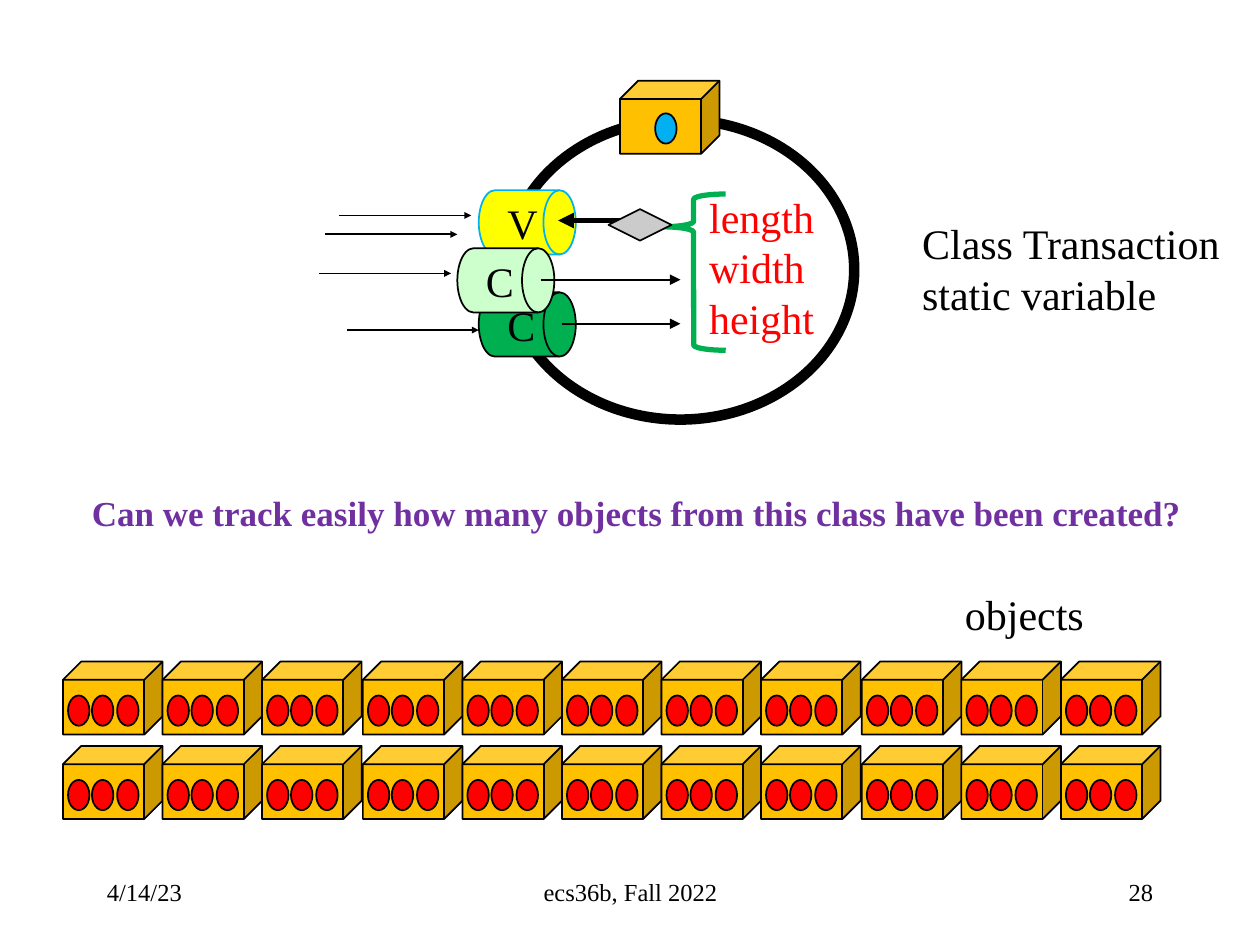
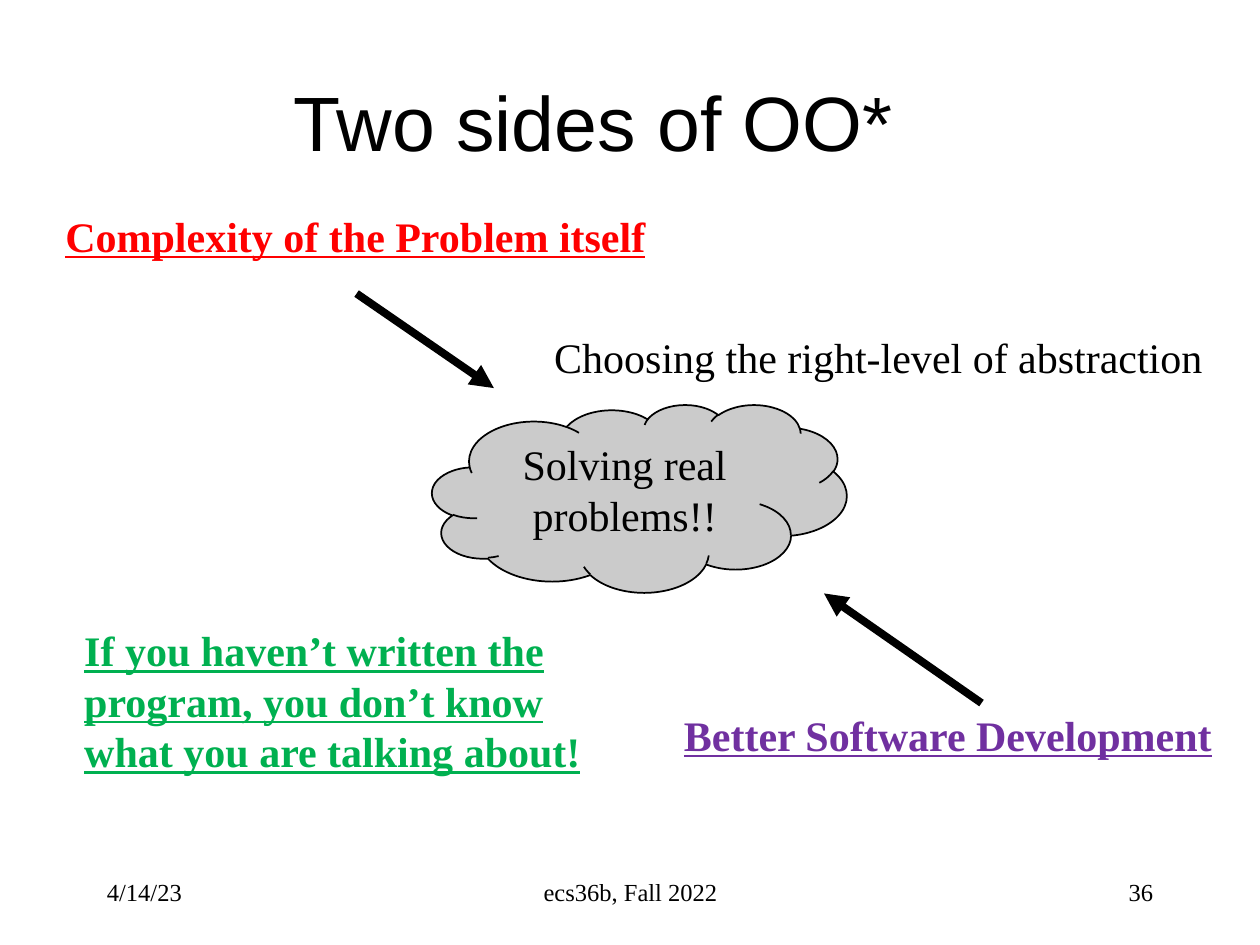
from typing import NamedTuple, Optional

from lxml.etree import SubElement
from pptx import Presentation
from pptx.dml.color import RGBColor
from pptx.enum.shapes import MSO_CONNECTOR, MSO_SHAPE
from pptx.enum.text import MSO_ANCHOR, MSO_AUTO_SIZE, PP_ALIGN
from pptx.oxml.ns import qn
from pptx.util import Emu, Pt

SCALE = 9144
BLACK, RED, GOLD, GREY = "000000", "FF0000", "FFC000", "CBCBCB"
GREEN, BLUE, PURPLE = "00B050", "00B0F0", "7030A0"
YELLOW, MINT = "FFFF00", "CCFFCC"
SERIF, SANS = "Times New Roman", "Arial"
PLAIN = {"name": SERIF, "size": Pt(24)}
STRONG = PLAIN | {"bold": True, "underline": True}
ASK = {"name": SERIF, "size": Pt(20), "bold": True}
SMALL = {"name": SERIF, "size": Pt(14)}
TITLE = {"name": SANS, "size": Pt(44)}
TOP = {"vertical_anchor": MSO_ANCHOR.TOP}
MIDDLE = {"vertical_anchor": MSO_ANCHOR.MIDDLE}
LOOSE = {"word_wrap": False}
WRAP = {"word_wrap": True}
GROW = {"auto_size": MSO_AUTO_SIZE.SHAPE_TO_FIT_TEXT}
LEFT, CENTER, RIGHT = PP_ALIGN.LEFT, PP_ALIGN.CENTER, PP_ALIGN.RIGHT


class Box(NamedTuple):
    x: int
    y: int
    w: int
    h: int


class Label(NamedTuple):
    box: Box
    text: str
    font: dict = PLAIN
    color: str = BLACK
    frame: dict = TOP | LOOSE | GROW
    align: PP_ALIGN = LEFT


class Form(NamedTuple):
    kind: MSO_SHAPE
    box: Box
    fill: Optional[str] = None
    line: str = BLACK
    width: float = 1
    adjust: tuple = ()


class Arrow(NamedTuple):
    x1: int
    y1: int
    x2: int
    y2: int
    width: float = 1
    head: str = "med"


def px(value: int) -> Emu:
    return Emu(value * SCALE)


def place(box: Box) -> list[Emu]:
    return [px(value) for value in box]


def paint(target, color: str) -> None:
    target.rgb = RGBColor.from_string(color)


def apply(target, values: dict) -> None:
    for name, value in values.items():
        setattr(target, name, value)


def write(frame, label: Label) -> None:
    frame.text = label.text
    apply(frame, label.frame)
    for para in frame.paragraphs:
        para.alignment = label.align
        for run in para.runs:
            apply(run.font, label.font)
            paint(run.font.color, label.color)


def draw_label(slide, label: Label) -> None:
    write(slide.shapes.add_textbox(*place(label.box)).text_frame, label)


def draw_form(slide, form: Form):
    shape = slide.shapes.add_shape(form.kind, *place(form.box))
    shape.shadow.inherit = False
    for index, value in enumerate(form.adjust):
        shape.adjustments[index] = value
    if form.fill:
        shape.fill.solid()
        paint(shape.fill.fore_color, form.fill)
    else:
        shape.fill.background()
    paint(shape.line.color, form.line)
    shape.line.width = Pt(form.width)
    return shape


def draw_arrow(slide, arrow: Arrow) -> None:
    ends = [px(value) for value in arrow[:4]]
    link = slide.shapes.add_connector(MSO_CONNECTOR.STRAIGHT, *ends)
    paint(link.line.color, BLACK)
    link.line.width = Pt(arrow.width)
    tail = {"type": "triangle", "w": arrow.head, "len": arrow.head}
    SubElement(link.line._get_or_add_ln(), qn("a:tailEnd"), tail)
    SubElement(link._element.spPr, qn("a:effectLst"))


def draw_drum(slide, x: int, y: int, fill: str, line: str, text: str) -> None:
    box = Box(x, y, 77, 51)
    drum = draw_form(slide, Form(MSO_SHAPE.FLOWCHART_DIRECT_ACCESS_STORAGE, box, fill, line))
    write(drum.text_frame, Label(box, text, frame=MIDDLE | LOOSE))


def draw_cube(slide, x: int, y: int, dots: tuple, drop: int, color: str) -> None:
    draw_form(slide, Form(MSO_SHAPE.CUBE, Box(x, y, 79, 58), GOLD, adjust=(0.25,)))
    for shift in dots:
        draw_form(slide, Form(MSO_SHAPE.OVAL, Box(x + shift, y + drop, 17, 24), color))


def draw_foot(slide, number: int) -> None:
    frame = MIDDLE | LOOSE
    for label in (
        Label(Box(75, 683, 208, 50), "4/14/23", SMALL, frame=frame),
        Label(Box(342, 683, 317, 50), "ecs36b, Fall 2022", SMALL, frame=frame, align=CENTER),
        Label(Box(717, 683, 208, 50), str(number), SMALL, frame=frame, align=RIGHT),
    ):
        draw_label(slide, label)


def build_class(slide) -> None:
    draw_form(slide, Form(MSO_SHAPE.OVAL, Box(402, 95, 276, 238), width=6))
    for x, y, fill, line, text in (
        (380, 151, YELLOW, BLUE, "V"),
        (380, 232, GREEN, BLACK, "C"),
        (363, 197, MINT, BLACK, "C"),
    ):
        draw_drum(slide, x, y, fill, line, text)
    for x, y in ((269, 171), (258, 186), (253, 217), (275, 262)):
        draw_arrow(slide, Arrow(x, y, x + 105, y, head="sm"))
    for arrow in (
        Arrow(515, 175, 443, 175, 3),
        Arrow(429, 222, 540, 222),
        Arrow(446, 257, 540, 257),
    ):
        draw_arrow(slide, arrow)
    draw_label(slide, Label(Box(553, 147, 104, 131), "length\nwidth\nheight", color=RED))
    draw_cube(slide, 492, 64, (28,), 26, BLUE)
    for form in (
        Form(MSO_SHAPE.LEFT_BRACE, Box(525, 154, 51, 124), None, GREEN, 3, (0.083, 0.21)),
        Form(MSO_SHAPE.DIAMOND, Box(483, 166, 50, 25), GREY),
    ):
        draw_form(slide, form)
    for label in (
        Label(Box(722, 168, 258, 91), "Class Transaction\nstatic variable"),
        Label(Box(756, 462, 115, 51), "objects"),
        Label(
            Box(63, 385, 891, 44),
            "Can we track easily how many objects from this class have been created?",
            ASK,
            PURPLE,
        ),
    ):
        draw_label(slide, label)
    for y in (525, 592):
        for col in range(11):
            draw_cube(slide, 50 + round(col * 79.2), y, (43, 23, 4), 27, RED)


def build_sides(slide) -> None:
    for label in (
        Label(Box(125, 33, 692, 125), "Two sides of OO*", TITLE, frame=MIDDLE | WRAP, align=CENTER),
        Label(Box(533, 558, 443, 51), "Better Software Development", STRONG, PURPLE),
        Label(Box(42, 162, 485, 51), "Complexity of the Problem itself", STRONG, RED),
        Label(Box(430, 258, 539, 51), "Choosing the right-level of abstraction"),
        Label(
            Box(57, 491, 416, 131),
            "If you haven’t written the program, you don’t know what you are talking about!",
            STRONG,
            GREEN,
            TOP | WRAP | GROW,
        ),
    ):
        draw_label(slide, label)
    for arrow in (Arrow(283, 233, 392, 308, 4.5), Arrow(779, 558, 654, 471, 4.5)):
        draw_arrow(slide, arrow)
    box = Box(343, 321, 329, 149)
    cloud = draw_form(slide, Form(MSO_SHAPE.CLOUD, box, GREY))
    write(cloud.text_frame, Label(box, "Solving real problems!!", frame=TOP | WRAP, align=CENTER))


def main() -> None:
    deck = Presentation()
    deck.slide_width, deck.slide_height = px(1000), px(750)
    for build, number in ((build_class, 28), (build_sides, 36)):
        slide = deck.slides.add_slide(deck.slide_layouts[6])
        build(slide)
        draw_foot(slide, number)
    deck.save("out.pptx")


if __name__ == "__main__":
    main()
